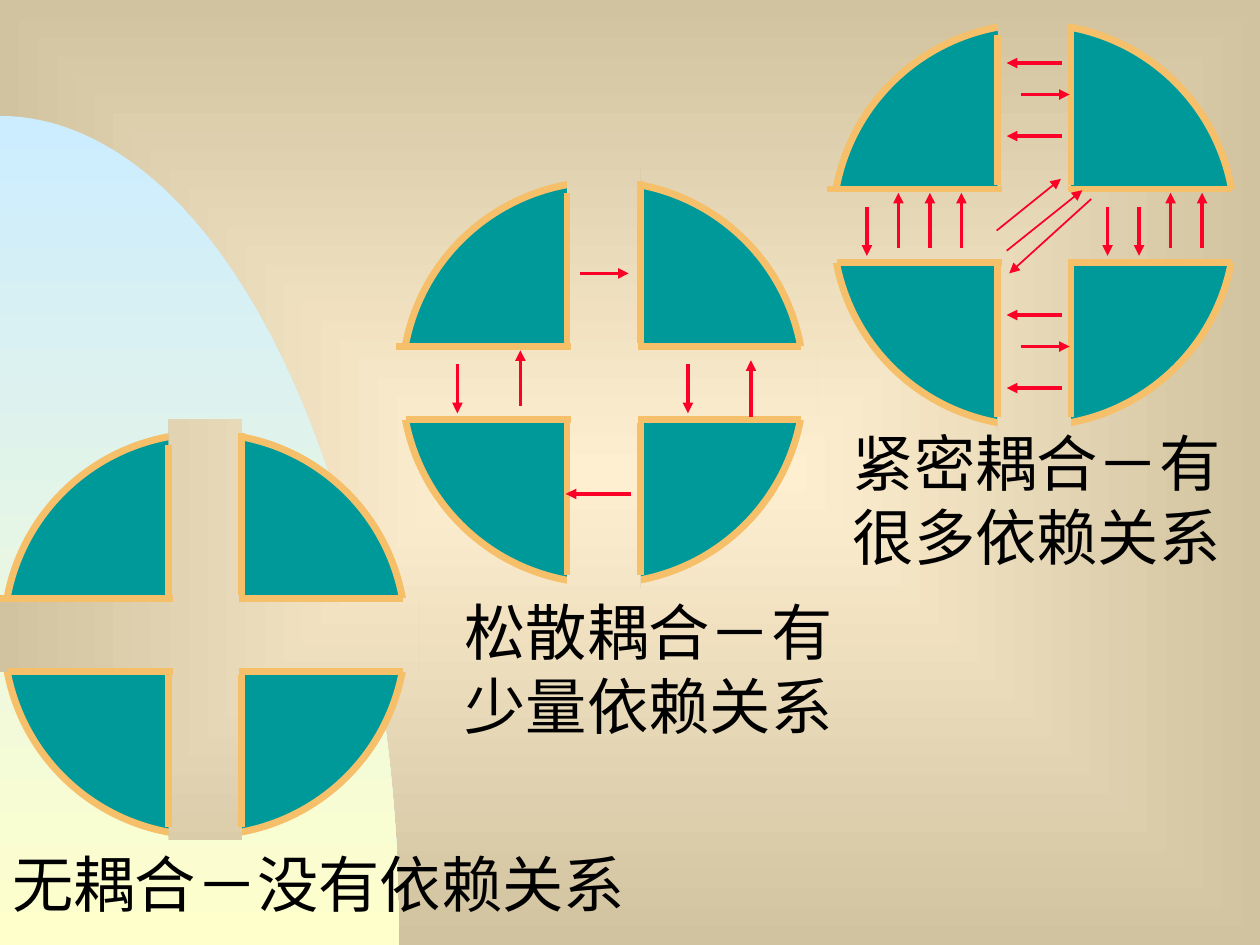
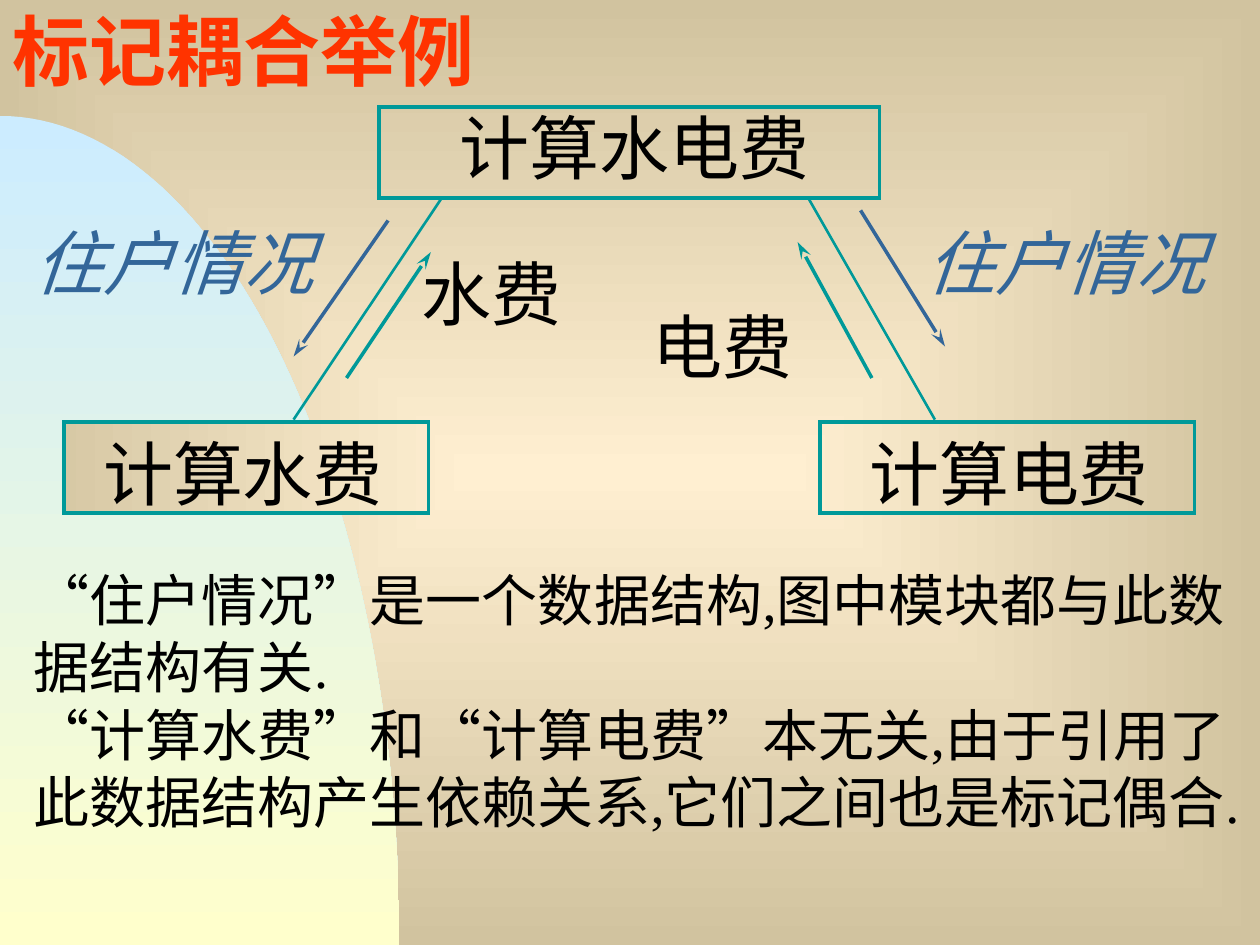
from math import cos, pi, sin

from lxml import etree
from pptx import Presentation
from pptx.dml.color import RGBColor
from pptx.enum.shapes import MSO_CONNECTOR, MSO_SHAPE
from pptx.enum.text import MSO_ANCHOR
from pptx.oxml.ns import qn
from pptx.util import Inches, Pt

LINE = MSO_CONNECTOR.STRAIGHT
RECT = MSO_SHAPE.RECTANGLE
OVAL = MSO_SHAPE.OVAL
TOP, MIDDLE = MSO_ANCHOR.TOP, MSO_ANCHOR.MIDDLE

CREAM = RGBColor(0xFF, 0xEF, 0xD1)
SAND = RGBColor(0xD1, 0xC3, 0x9F)
SKY = RGBColor(0xCC, 0xEC, 0xFF)
LEMON = RGBColor(0xFF, 0xFF, 0xCC)
TEAL = RGBColor(0x00, 0x99, 0x99)
GOLD = RGBColor(0xF6, 0xBF, 0x69)
RED = RGBColor(0xFC, 0x01, 0x28)
BLUE = RGBColor(0x33, 0x66, 0x99)
ORANGE = RGBColor(0xFF, 0x33, 0x00)
BLACK = RGBColor(0x00, 0x00, 0x00)

SERIF, SANS = "Times New Roman", "Noto Sans CJK SC"

# Text styles
LABEL = {"name": SERIF, "size": Pt(35)}
BODY = {"name": SERIF, "size": Pt(32)}
TITLE = {"name": SERIF, "size": Pt(44), "bold": True}
NODE = {"name": SANS, "size": Pt(40)}
DATA = {**NODE, "italic": True}

# Arrowheads
SOLID = {"type": "triangle"}
BARB = {"type": "stealth", "w": "med", "len": "lg"}


def blend(fill, first, last):
    fill.gradient()
    for stop, color in zip(fill.gradient_stops, (first, last)):
        stop.color.rgb = color


def new_slide(prs):
    """Add a slide with the sand background and the curved sky band."""
    slide = prs.slides.add_slide(prs.slide_layouts[6])
    blend(slide.background.fill, CREAM, SAND)
    grad = slide.element.find(".//" + qn("a:gradFill"))
    grad.remove(grad.find(qn("a:lin")))
    rect = etree.SubElement(grad, qn("a:path"), path="rect")
    sides = dict.fromkeys("ltrb", "50000")
    etree.SubElement(rect, qn("a:fillToRect"), **sides)

    steps = 60
    arc = [(3.17 * sin(i * pi / 2 / steps), 7.5 - 6.58 * cos(i * pi / 2 / steps))
           for i in range(steps + 1)]
    pen = slide.shapes.build_freeform(0, Inches(7.5), scale=1.0)
    pen.add_line_segments([(Inches(x), Inches(y)) for x, y in arc], close=True)
    band = pen.convert_to_shape()
    band.shadow.inherit = False
    blend(band.fill, SKY, LEMON)
    band.fill.gradient_angle = 270
    band.line.fill.background()
    return slide


def add_line(slide, start, end, color, width, head=None):
    ends = [Inches(v) for v in (*start, *end)]
    line = slide.shapes.add_connector(LINE, *ends)
    line.line.color.rgb = color
    line.line.width = Pt(width)
    props = line.element.spPr
    if head:
        etree.SubElement(props.find(qn("a:ln")), qn("a:tailEnd"), **head)
    etree.SubElement(props, qn("a:effectLst"))


def add_mask(slide, x, y, w, h, edge=None):
    """Add a box that shows the slide background through it."""
    box = slide.shapes.add_shape(RECT, *map(Inches, (x, y, w, h)))
    box.element.remove(box.element.find(qn("p:style")))
    box.element.set("useBgFill", "1")
    if edge:
        box.line.color.rgb = edge
        box.line.width = Pt(2)
        outline = box.element.spPr.find(qn("a:ln"))
        etree.SubElement(outline, qn("a:miter"), lim="800000")


def add_text(slide, x, y, w, h, lines, style, color=BLACK,
             wrap=True, anchor=TOP, leading=1.0):
    box = slide.shapes.add_textbox(*map(Inches, (x, y, w, h)))
    frame = box.text_frame
    frame.word_wrap = wrap
    frame.vertical_anchor = anchor
    for i, words in enumerate(lines):
        para = frame.add_paragraph() if i else frame.paragraphs[0]
        para.line_spacing = leading
        run = para.add_run()
        run.text = words
        for key, value in style.items():
            setattr(run.font, key, value)
        run.font.color.rgb = color
        props = run._r.get_or_add_rPr()
        props.set("lang", "zh-CN")
        etree.SubElement(props, qn("a:ea"), typeface=SANS)


def add_disc(slide, x, y):
    """Add a disc cut into four quarters, with gold edges."""
    disc = slide.shapes.add_shape(OVAL, *map(Inches, (x, y, 3.19, 3.19)))
    disc.shadow.inherit = False
    disc.fill.solid()
    disc.fill.fore_color.rgb = TEAL
    disc.line.color.rgb = GOLD
    disc.line.width = Pt(4)
    add_mask(slide, x + 1.31, y - 0.11, 0.58, 3.33)
    add_mask(slide, x - 0.03, y + 1.31, 3.33, 0.58)
    near, far = 1.31, 1.89
    for at, top in ((near, 0.09), (far, 0)):
        for y1, y2 in ((top, 1.28), (1.92, 3.12)):
            add_line(slide, (x + at, y + y1), (x + at, y + y2), GOLD, 4)
    for at, left in ((near, -0.05), (far, 0.03)):
        for x1, x2 in ((left, 1.34), (1.87, 3.17)):
            add_line(slide, (x + x1, y + at), (x + x2, y + at), GOLD, 4)


def draw_kinds(slide):
    # Three modules, each in four parts
    for x, y in ((0.03, 3.44), (6.61, 0.19), (3.19, 1.44)):
        add_disc(slide, x, y)

    # Few links: loose coupling
    links = [((4.6, 2.17), (4.99, 2.17)), ((5.01, 3.92), (4.49, 3.92)),
             ((4.13, 3.22), (4.13, 2.78)), ((5.96, 3.31), (5.96, 2.86))]
    links += [((x, 2.89), (x, 3.28)) for x in (3.63, 5.46)]

    # Many links: tight coupling
    links += [((x, 1.64), (x, 2.03)) for x in (6.88, 8.79, 9.04)]
    links += [((x, 1.97), (x, 1.53)) for x in (7.13, 7.38, 7.63, 9.29, 9.54)]
    for y in (0.5, 2.5):
        links += [((8.43, y), (7.99, y)),
                  ((8.1, y + 0.25), (8.49, y + 0.25)),
                  ((8.43, y + 0.58), (7.99, y + 0.58))]
    for start, end in links:
        add_line(slide, start, end, RED, 2, SOLID)
    for start, end in (((7.91, 1.83), (8.42, 1.42)),
                       ((7.99, 1.99), (8.59, 1.51)),
                       ((8.66, 1.58), (8.01, 2.17))):
        add_line(slide, start, end, RED, 1, SOLID)

    # Captions
    add_text(slide, 0, 6.67, 5.25, 0.68, ["无耦合－没有依赖关系"], LABEL)
    add_text(slide, 3.59, 4.67, 3.33, 1.26,
             ["松散耦合－有", "少量依赖关系"], LABEL)
    add_text(slide, 6.67, 3.33, 3.25, 1.26,
             ["紧密耦合－有", "很多依赖关系"], LABEL)


def draw_stamp(slide):
    add_text(slide, 0, 0.06, 5.55, 0.85, ["标记耦合举例"], TITLE, ORANGE,
             anchor=MIDDLE, leading=0.7)

    # Modules: box left, top, width, then text left, top, width
    for x, y, w, tx, ty, tw, name in (
            (3.01, 0.85, 3.97, 3.55, 0.78, 2.98, "计算水电费"),
            (0.51, 3.35, 2.89, 0.72, 3.37, 2.42, "计算水费"),
            (6.51, 3.35, 2.97, 6.8, 3.37, 2.42, "计算电费")):
        add_mask(slide, x, y, w, 0.72, TEAL)
        add_text(slide, tx, ty, tw, 0.77, [name], NODE, wrap=False)

    # Calls, and the data passed down and up
    for start, end, color, width, head in (
            ((3.5, 1.58), (2.33, 3.33), TEAL, 1.5, None),
            ((6.42, 1.58), (7.42, 3.33), TEAL, 1.5, None),
            ((3.08, 1.75), (2.33, 2.83), BLUE, 2, BARB),
            ((6.83, 1.67), (7.5, 2.75), BLUE, 2, BARB),
            ((2.75, 3), (3.42, 2), TEAL, 2, BARB),
            ((6.92, 3), (6.33, 1.92), TEAL, 2, BARB)):
        add_line(slide, start, end, color, width, head)
    for x, w in ((0.17, 3.08), (7.25, 2.67)):
        add_text(slide, x, 1.69, w, 0.77, ["住户情况"], DATA, BLUE)
    for x, y, name in ((3.25, 1.94, "水费"), (5.08, 2.36, "电费")):
        add_text(slide, x, y, 1.75, 0.77, [name], NODE)

    # Explanation
    add_text(slide, 0.17, 4.44, 9.75, 2.77, [
        "“住户情况”是一个数据结构,图中模块都与此数据结构有关.",
        "“计算水费”和“计算电费”本无关,由于引用了此数据结构产生依赖关系,"
        "它们之间也是标记偶合."], BODY)


def main():
    prs = Presentation()
    prs.slide_width, prs.slide_height = Inches(10), Inches(7.5)
    for draw in (draw_kinds, draw_stamp):
        draw(new_slide(prs))
    prs.save("out.pptx")


if __name__ == "__main__":
    main()
